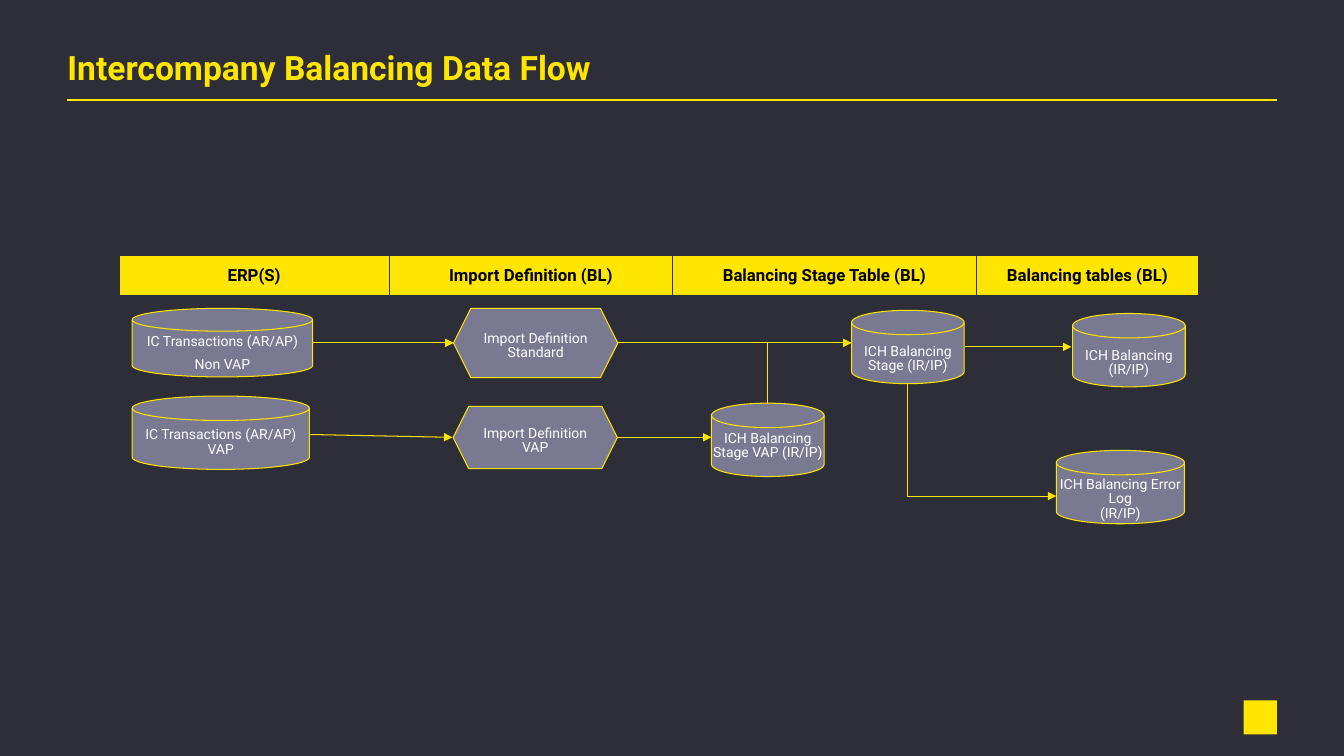
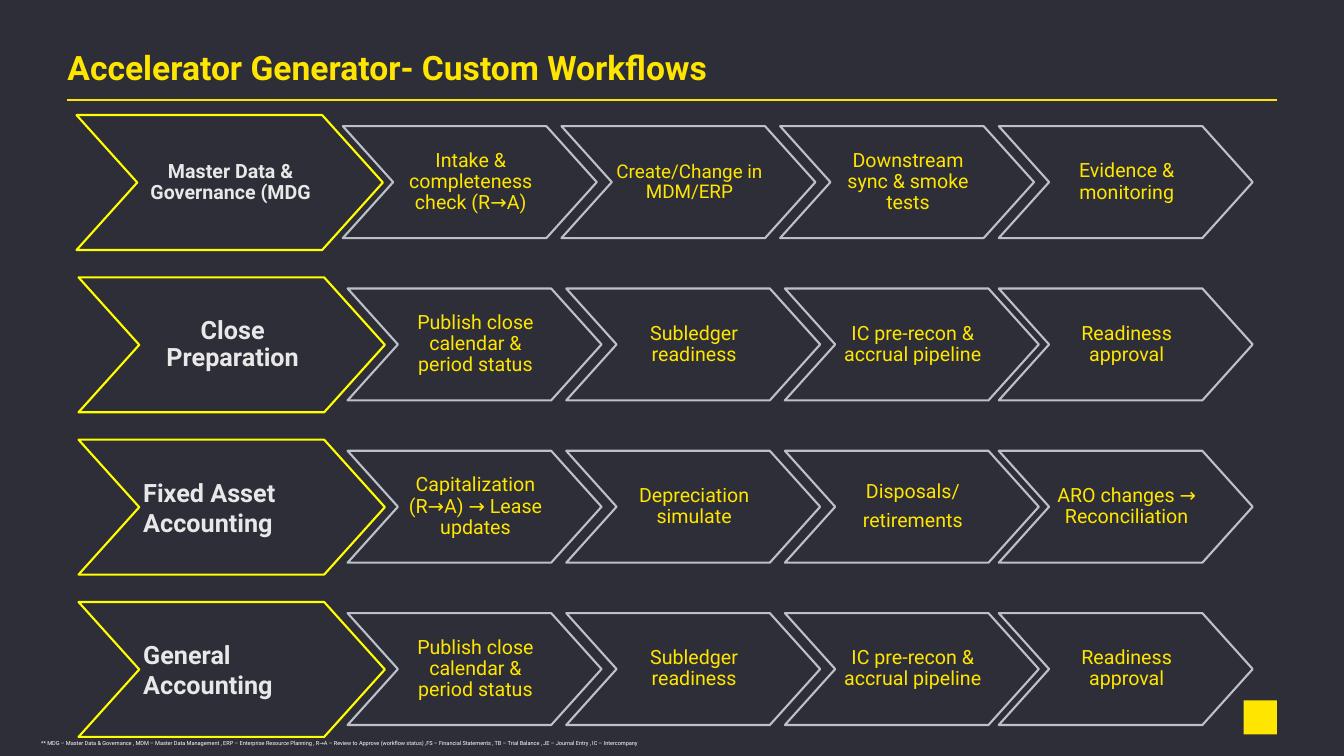
from pptx import Presentation
from pptx.dml.color import RGBColor
from pptx.enum import shapes, text
from pptx.oxml import parse_xml
from pptx.oxml.ns import nsdecls, qn
from pptx.oxml.xmlchemy import OxmlElement
from pptx.util import Cm, Pt

FONT = "Roboto"
COLORS = {
    "background": "2E2E38",
    "accent": "FFE600",
    "lead_line": "FFFF00",
    "lead_text": "E8E8E8",
    "step_line": "CCD2D8",
    "node": "797991",
    "white": "FFFFFF",
    "black": "000000",
}
CENTER, LEFT = text.PP_ALIGN.CENTER, text.PP_ALIGN.LEFT
TOP, MIDDLE = text.MSO_ANCHOR.TOP, text.MSO_ANCHOR.MIDDLE
DISK = shapes.MSO_SHAPE.FLOWCHART_MAGNETIC_DISK
HEXAGON = shapes.MSO_SHAPE.HEXAGON

# All lengths are in centimetres.
FLOW_TITLE = "Intercompany Balancing Data Flow"
FLOW_COLUMNS = [
    ("ERP(S)", 6.81),
    ("Import Definition (BL)", 7.14),
    ("Balancing Stage Table (BL)", 7.65),
    ("Balancing tables (BL)", 5.61),
]
# preset, left, top, width, height, top margin, space after (pt), text
FLOW_NODES = [
    (DISK, 3.33, 7.77, 4.55, 1.73, 0.1, 6, "IC Transactions (AR/AP)\nNon VAP"),
    (HEXAGON, 11.43, 7.77, 4.14, 1.75, 0.38, 6, "Import Definition Standard"),
    (DISK, 3.33, 9.98, 4.47, 1.85, 0.2, 6, "IC Transactions (AR/AP)\vVAP"),
    (HEXAGON, 11.42, 10.24, 4.14, 1.57, 0.33, 6, "Import Definition VAP"),
    (DISK, 21.46, 7.82, 2.84, 1.85, 0.25, 6, "ICH Balancing Stage (IR/IP)"),
    (DISK, 17.93, 10.16, 2.84, 1.85, 0.1, 6, "ICH Balancing Stage VAP (IR/IP)"),
    (DISK, 27.03, 7.9, 2.84, 1.85, 0.28, 6, "ICH Balancing (IR/IP)"),
    (DISK, 26.62, 11.35, 3.23, 1.85, 0.08, 0, "ICH Balancing Error Log\n(IR/IP)"),
]
# start x, start y, end x, end y
FLOW_ARROWS = [
    (7.87, 8.64, 11.43, 8.64),
    (7.82, 10.95, 11.4, 11.02),
    (15.57, 8.64, 21.46, 8.64),
    (15.57, 11.02, 17.93, 11.02),
    (24.31, 8.74, 27, 8.74),
]
STAGE_JOIN = (19.35, 8.64, 19.35, 10.18)
ERROR_PATH = (22.88, 9.65, 26.62, 12.5)

WORKFLOW_TITLE = "Accelerator Generator- Custom Workflows"
# lead text, lead size, lead alignment, lead left, first step left, steps
WORKFLOWS = [
    ("Master Data & Governance (MDG", 14, CENTER, 1.93, 8.64,
     ["Intake & completeness check (R→A)", "Create/Change in MDM/ERP",
      "Downstream sync & smoke tests", "Evidence & monitoring"]),
    ("Close Preparation", 18, CENTER, 1.98, 8.76,
     ["Publish close calendar & period status", "Subledger readiness",
      "IC pre‑recon & accrual pipeline", "Readiness approval"]),
    ("Fixed Asset Accounting", 18, LEFT, 1.98, 8.76,
     ["Capitalization (R→A) → Lease updates", "Depreciation simulate",
      "Disposals/\nretirements", "ARO changes → Reconciliation"]),
    ("General Accounting", 18, LEFT, 1.98, 8.76,
     ["Publish close calendar & period status", "Subledger readiness",
      "IC pre‑recon & accrual pipeline", "Readiness approval"]),
]
STEP_SIZES = {"Create/Change in MDM/ERP": 13.5}
FIRST_ROW_TOP, ROW_PITCH = 2.9, 4.09
STEP_DROP, STEP_PITCH, LAST_STEP_LEFT = 0.28, 5.51, 25.17
FOOTNOTE = (
    "** MDG – Master Data & Governance , MDM – Master Data Management , "
    "ERP – Enterprise Resource Planning , R→A – Review to Approve (workflow status) ,"
    "FS – Financial Statements , TB – Trial Balance , JE – Journal Entry , IC – Intercompany"
)


def rgb(name):
    return RGBColor.from_string(COLORS[name])


def write(frame, content, size, color, bold=False, align=LEFT, anchor=TOP,
          margins=(0, 0, 0, 0), line_spacing=1.0, space_after=0):
    """Fill a text frame; margins are left, top, right, bottom."""
    frame.text = content
    frame.word_wrap = True
    frame.vertical_anchor = anchor
    (frame.margin_left, frame.margin_top,
     frame.margin_right, frame.margin_bottom) = map(Cm, margins)
    for paragraph in frame.paragraphs:
        paragraph.alignment = align
        paragraph.line_spacing = line_spacing
        paragraph.space_before = Pt(0)
        paragraph.space_after = Pt(space_after)
        for run in paragraph.runs:
            style_font(run.font, size, color, bold)


def style_font(font, size, color, bold):
    font.name = FONT
    font.size = Pt(size)
    font.bold = bold
    font.color.rgb = rgb(color)


def add_shape(slide, preset, box, fill=None, line=None, line_width=0.75):
    shape = slide.shapes.add_shape(preset, *map(Cm, box))
    shape.shadow.inherit = False
    if fill:
        shape.fill.solid()
        shape.fill.fore_color.rgb = rgb(fill)
    else:
        shape.fill.background()
    if line:
        shape.line.color.rgb = rgb(line)
        shape.line.width = Pt(line_width)
    else:
        shape.line.fill.background()
    return shape


def add_line(slide, points, width=0.75, arrow=False, kind=shapes.MSO_CONNECTOR.STRAIGHT):
    connector = slide.shapes.add_connector(kind, *map(Cm, points))
    connector.line.color.rgb = rgb("accent")
    connector.line.width = Pt(width)
    properties = connector._element.spPr
    if arrow:
        properties.find(qn("a:ln")).append(
            parse_xml(f'<a:tailEnd {nsdecls("a")} type="triangle"/>'))
    properties.append(OxmlElement("a:effectLst"))
    return connector


def add_down_right_arrow(slide, points):
    """Draw a one-bend arrow: a right-down bend, mirrored and turned by 270 degrees."""
    x1, y1, x2, y2 = points
    center_x, center_y = (x1 + x2) / 2, (y1 + y2) / 2
    half_width, half_height = (y2 - y1) / 2, (x2 - x1) / 2
    turned = (center_x + half_width, center_y - half_height,
              center_x - half_width, center_y + half_height)
    connector = add_line(slide, turned, arrow=True, kind=shapes.MSO_CONNECTOR.ELBOW)
    properties = connector._element.spPr
    properties.find(qn("a:xfrm")).set("rot", "16200000")
    properties.find(qn("a:prstGeom")).set("prst", "bentConnector2")


def add_titled_slide(presentation, title):
    slide = presentation.slides.add_slide(presentation.slide_layouts[5])
    slide.background.fill.solid()
    slide.background.fill.fore_color.rgb = rgb("background")
    holder = slide.shapes.title
    holder.left, holder.top, holder.width, holder.height = map(Cm, (1.7, 1.17, 31.2, 1.2))
    write(holder.text_frame, title, 24, "accent", bold=True)
    add_line(slide, (1.7, 2.51, 32.18, 2.51), width=1.5)
    add_shape(slide, shapes.MSO_SHAPE.RECTANGLE, (31.34, 17.65, 0.84, 0.86), fill="accent")
    return slide


def set_cell_borders(cell):
    properties = cell._tc.get_or_add_tcPr()
    for index, (side, width) in enumerate((("L", 1), ("R", 1), ("T", 1), ("B", 3))):
        properties.insert(index, parse_xml(
            f'<a:ln{side} {nsdecls("a")} w="{Pt(width)}"><a:solidFill>'
            f'<a:srgbClr val="{COLORS["background"]}"/></a:solidFill></a:ln{side}>'))


def add_column_heads(slide):
    total = sum(width for _, width in FLOW_COLUMNS)
    frame = slide.shapes.add_table(1, len(FLOW_COLUMNS), *map(Cm, (3, 6.43, total, 1.04)))
    table = frame.table
    table.first_row = table.horz_banding = False
    for index, (label, width) in enumerate(FLOW_COLUMNS):
        table.columns[index].width = Cm(width)
        cell = table.cell(0, index)
        cell.fill.solid()
        cell.fill.fore_color.rgb = rgb("accent")
        cell.vertical_anchor = MIDDLE
        cell.text_frame.text = label
        paragraph = cell.text_frame.paragraphs[0]
        paragraph.alignment = CENTER
        style_font(paragraph.runs[0].font, 12, "black", True)
        set_cell_borders(cell)


def build_data_flow(presentation):
    slide = add_titled_slide(presentation, FLOW_TITLE)
    add_column_heads(slide)
    for preset, left, top, width, height, margin, after, label in FLOW_NODES:
        node = add_shape(slide, preset, (left, top, width, height), "node", "accent")
        write(node.text_frame, label, 10, "white", align=CENTER,
              margins=(0, margin, 0, 0), line_spacing=0.85, space_after=after)
    for points in FLOW_ARROWS:
        add_line(slide, points, arrow=True)
    add_line(slide, STAGE_JOIN)
    add_down_right_arrow(slide, ERROR_PATH)


def add_chevron(slide, box, line, label, size, color, **style):
    chevron = add_shape(slide, shapes.MSO_SHAPE.CHEVRON, box, line=line, line_width=1.5)
    chevron.adjustments[0] = 0.45
    write(chevron.text_frame, label, size, color, anchor=MIDDLE,
          margins=(0.1, 0.03, 0.05, 0.03), **style)
    return chevron


def build_workflows(presentation):
    slide = add_titled_slide(presentation, WORKFLOW_TITLE)
    for row, (lead, size, align, lead_left, step_left, steps) in enumerate(WORKFLOWS):
        top = FIRST_ROW_TOP + row * ROW_PITCH
        add_chevron(slide, (lead_left, top, 7.72, 3.4), "lead_line", lead, size, "lead_text",
                    bold=True, align=align, line_spacing=0.9 if align == CENTER else 1.0)
        for index, step in enumerate(steps):
            left = min(step_left + index * STEP_PITCH, LAST_STEP_LEFT)
            chevron = add_chevron(
                slide, (left, top + STEP_DROP, 6.4, 2.82), "step_line", step,
                STEP_SIZES.get(step, 14), "accent",
                align=CENTER, line_spacing=0.9, space_after=5)
            line_color = chevron._element.spPr.find(qn("a:ln")).find(".//" + qn("a:srgbClr"))
            line_color.append(parse_xml(f'<a:alpha {nsdecls("a")} val="90000"/>'))
    footnote = slide.shapes.add_textbox(*map(Cm, (0.79, 18.57, 28.14, 0.43)))
    write(footnote.text_frame, FOOTNOTE, 4, "white", margins=(0.25, 0.13, 0.25, 0.13))


def main():
    presentation = Presentation()
    presentation.slide_width, presentation.slide_height = Cm(33.87), Cm(19.05)
    build_data_flow(presentation)
    build_workflows(presentation)
    presentation.save("out.pptx")


if __name__ == "__main__":
    main()
